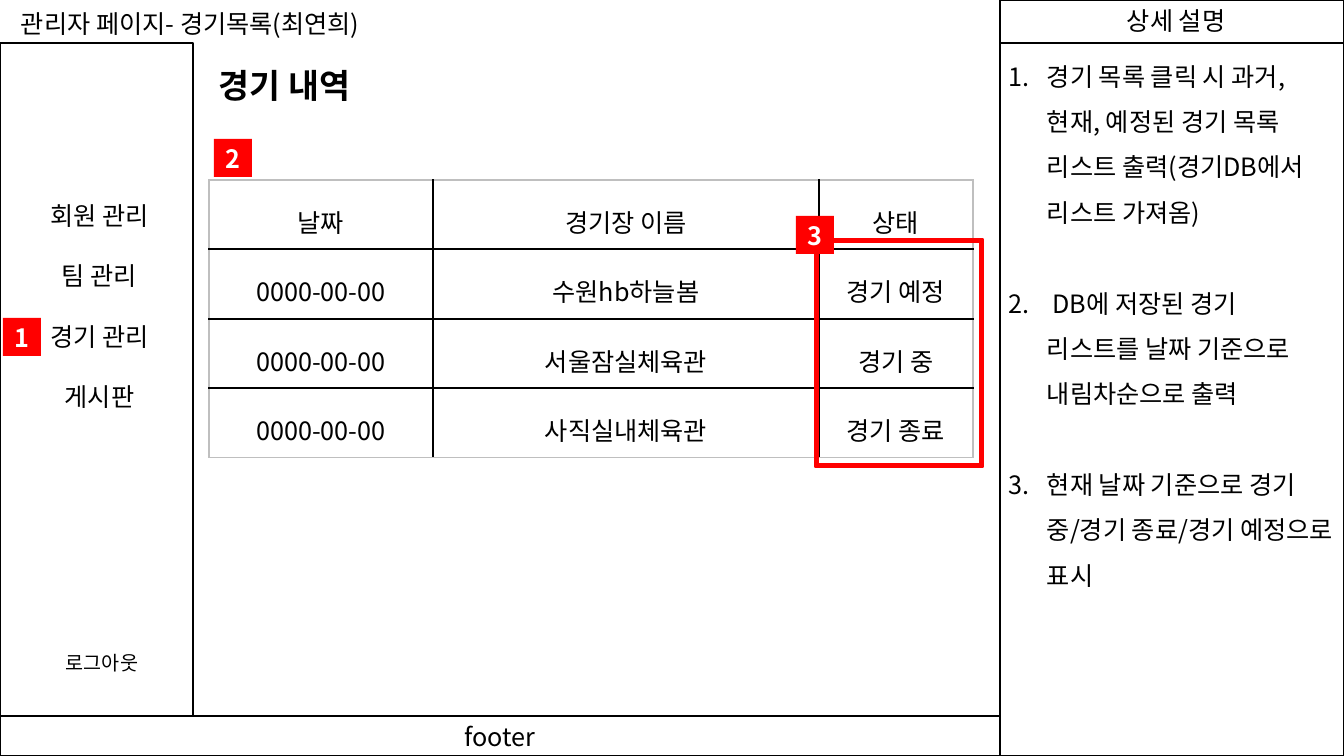
import pptx
import pptx.util
import pptx.dml.color
import pptx.enum.shapes
import pptx.enum.text
import pptx.oxml
import pptx.oxml.ns
from lxml import etree

PX = 914400 / 100.8
THEME = {
    "font": "Noto Sans CJK KR",
    "ink": "000000", "paper": "FFFFFF", "mark": "FF0000", "edge": "BFBFBF",
    "small": 14, "body": 18, "title": 24,
}
SHAPE = pptx.enum.shapes.MSO_SHAPE
LEFT = pptx.enum.text.PP_ALIGN.LEFT
CENTER = pptx.enum.text.PP_ALIGN.CENTER
MIDDLE = pptx.enum.text.MSO_ANCHOR.MIDDLE
qn = pptx.oxml.ns.qn


def write(paragraph, text, size="body", color="ink", bold=False, align=LEFT):
    paragraph.alignment = align
    run = paragraph.add_run()
    run.text = text
    font = run.font
    font.name = THEME["font"]
    font.size = pptx.util.Pt(THEME[size])
    font.bold = bold
    font.color.rgb = pptx.dml.color.RGBColor.from_string(THEME[color])
    east_asian = etree.SubElement(run._r.get_or_add_rPr(), qn("a:ea"))
    east_asian.set("typeface", THEME["font"])


def add_block(bounds, fill="paper", line="ink", weight=1, kind=SHAPE.RECTANGLE):
    block = slide.shapes.add_shape(kind, *[round(n * PX) for n in bounds])
    block.shadow.inherit = False
    block.fill.solid()
    block.fill.fore_color.rgb = pptx.dml.color.RGBColor.from_string(THEME[fill])
    if line:
        block.line.color.rgb = pptx.dml.color.RGBColor.from_string(THEME[line])
        block.line.width = pptx.util.Pt(weight)
    else:
        block.line.fill.background()
    block.text_frame.vertical_anchor = MIDDLE
    return block


deck = pptx.Presentation()
deck.slide_width = round(1344 * PX)
deck.slide_height = round(756 * PX)
slide = deck.slides.add_slide(deck.slide_layouts[6])

for panel in [(1000, 43, 344, 713), (1000, 0, 344, 43), (0, 43, 193, 673)]:
    add_block(panel)
footer = add_block((0, 716, 1000, 40))
write(footer.text_frame.paragraphs[0], "footer", align=CENTER)

menu = ["회원 관리", "팀 관리", "경기 관리", "게시판"]
notes = [
    "경기 목록 클릭 시 과거, 현재, 예정된 경기 목록 리스트 출력(경기DB에서 리스트 가져옴)",
    " DB에 저장된 경기 리스트를 날짜 기준으로 내림차순으로 출력",
    "현재 날짜 기준으로 경기중/경기 종료/경기 예정으로 표시",
]
captions = [
    ((1117, 0, 131, 40), ["상세 설명"], "body", False, LEFT, False),
    ((11, 3, 395, 40), ["관리자 페이지- 경기목록(최연희)"], "body", False, LEFT, False),
    ((56, 646, 132, 34), ["로그아웃"], "small", False, LEFT, True),
    ((209, 60, 296, 50), ["경기 내역"], "title", True, LEFT, True),
    ((3, 195, 193, 224), menu, "body", False, CENTER, True),
    ((999, 41, 345, 554), notes, "body", False, LEFT, True),
]
for bounds, lines, size, bold, align, wrap in captions:
    frame = slide.shapes.add_textbox(*[round(n * PX) for n in bounds]).text_frame
    frame.word_wrap = wrap
    frame.auto_size = pptx.enum.text.MSO_AUTO_SIZE.SHAPE_TO_FIT_TEXT
    for index, line in enumerate(lines):
        paragraph = frame.add_paragraph() if index else frame.paragraphs[0]
        if lines is notes:
            properties = paragraph._p.get_or_add_pPr()
            properties.set("marL", str(round(38 * PX)))
            properties.set("indent", str(round(-38 * PX)))
            etree.SubElement(properties, qn("a:buFont")).set("typeface", THEME["font"])
            etree.SubElement(properties, qn("a:buAutoNum")).set("type", "arabicPeriod")
            paragraph.line_spacing = 1.5
        if index:
            paragraph.space_before = pptx.util.Pt(32.4 if lines is notes else 21.6)
        write(paragraph, line, size, bold=bold, align=align)

matches = [
    ["날짜", "경기장 이름", "상태"],
    ["0000-00-00", "수원hb하늘봄", "경기 예정"],
    ["0000-00-00", "서울잠실체육관", "경기 중"],
    ["0000-00-00", "사직실내체육관", "경기 종료"],
]
column_widths = [224, 386, 154]
row_heights = [69, 70, 69, 70]
last_row, last_column = len(row_heights) - 1, len(column_widths) - 1
match_table = slide.shapes.add_table(
    len(row_heights), len(column_widths),
    *[round(n * PX) for n in (209, 180, sum(column_widths), sum(row_heights))]).table
match_table.first_row = False
match_table.horz_banding = False
for column, width in zip(match_table.columns, column_widths):
    column.width = round(width * PX)
for row, height in zip(match_table.rows, row_heights):
    row.height = round(height * PX)
for r, match in enumerate(matches):
    for c, value in enumerate(match):
        cell = match_table.cell(r, c)
        paragraph = cell.text_frame.paragraphs[0]
        paragraph.line_spacing = 1.5
        write(paragraph, value, align=CENTER)
        properties = cell._tc.get_or_add_tcPr()
        outer_sides = {"L": c == 0, "R": c == last_column, "T": r == 0, "B": r == last_row}
        for side, outer in outer_sides.items():
            border = etree.SubElement(properties, qn(f"a:ln{side}"), w="12700")
            stroke = etree.SubElement(border, qn("a:solidFill"))
            color = THEME["edge" if outer else "ink"]
            etree.SubElement(stroke, qn("a:srgbClr"), val=color)
        cell.fill.background()

status_frame = add_block((815, 239, 168, 228), "mark", "mark", 1.5, SHAPE.FRAME)
status_frame.adjustments[0] = 0.018
for number, left, top in [("1", 3, 318), ("2", 214, 139), ("3", 796, 216)]:
    marker = add_block((left, top, 38, 38), "mark", None)
    write(marker.text_frame.paragraphs[0], number, color="paper", bold=True, align=CENTER)

deck.save("out.pptx")
